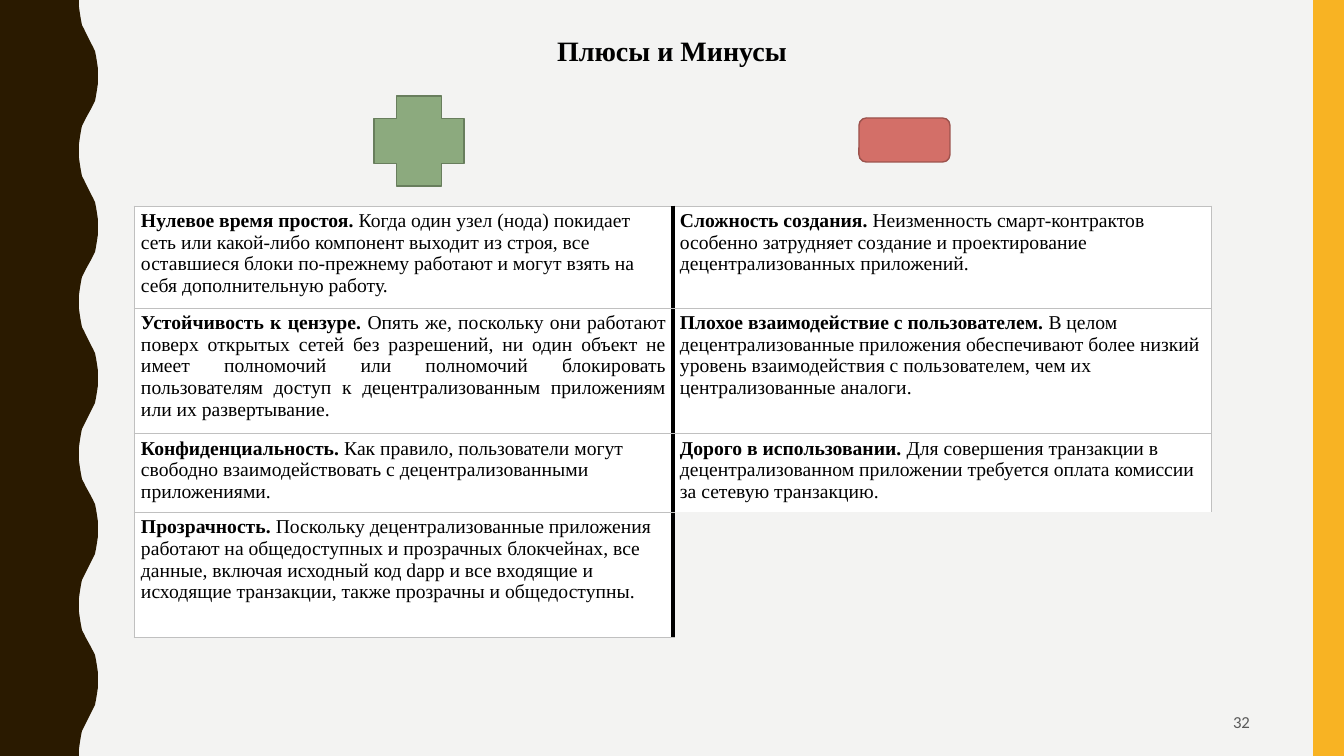
from dataclasses import dataclass
from typing import Optional

from lxml.etree import SubElement
from pptx import Presentation
from pptx.dml.color import RGBColor
from pptx.enum.shapes import MSO_SHAPE
from pptx.enum.text import MSO_ANCHOR, MSO_AUTO_SIZE, PP_ALIGN
from pptx.oxml.ns import qn
from pptx.util import Emu, Pt

WIDTH, HEIGHT = 1344, 756
SCALE = 12192000 / WIDTH

PAPER = RGBColor(0xF3, 0xF3, 0xF2)
BROWN = RGBColor(0x2A, 0x1A, 0x00)
AMBER = RGBColor(0xF8, 0xB3, 0x23)
GREEN = RGBColor(0x8C, 0xAA, 0x7E)
MOSS = RGBColor(0x68, 0x7E, 0x5D)
RED = RGBColor(0xD3, 0x6F, 0x68)
MAROON = RGBColor(0x9C, 0x52, 0x4D)
BLACK = RGBColor(0x00, 0x00, 0x00)
WHITE = RGBColor(0xFF, 0xFF, 0xFF)
SILVER = RGBColor(0xC0, 0xC0, 0xC0)
GRAY = RGBColor(0x59, 0x59, 0x59)
SERIF, SANS = "Times New Roman", "Calibri"


@dataclass(frozen=True)
class Mark:
    kind: MSO_SHAPE
    box: tuple[int, int, int, int]
    fill: RGBColor
    line: Optional[RGBColor] = None


@dataclass(frozen=True)
class Label:
    text: str
    box: tuple[int, int, int, int]
    font: str
    size: int
    color: RGBColor
    align: PP_ALIGN
    anchor: MSO_ANCHOR
    bold: bool = False


@dataclass(frozen=True)
class Point:
    head: str
    body: str
    align: Optional[PP_ALIGN] = None


MARKS = [
    Mark(MSO_SHAPE.RECTANGLE, (1313, 0, 31, HEIGHT), AMBER),
    Mark(MSO_SHAPE.CROSS, (374, 96, 90, 90), GREEN, MOSS),
    Mark(MSO_SHAPE.ROUNDED_RECTANGLE, (859, 118, 91, 44), RED, MAROON),
]
LABELS = [
    Label("32", (950, 703, 310, 38), SANS, 12, GRAY, PP_ALIGN.RIGHT, MSO_ANCHOR.MIDDLE),
    Label("Плюсы и Минусы", (0, 29, WIDTH, 44), SERIF, 20, BLACK,
          PP_ALIGN.CENTER, MSO_ANCHOR.TOP, True),
]
PROS = [
    Point("Нулевое время простоя.",
          " Когда один узел (нода) покидает сеть или какой-либо компонент выходит из строя, "
          "все оставшиеся блоки по-прежнему работают и могут взять на себя дополнительную работу."),
    Point("Устойчивость к цензуре. ",
          "Опять же, поскольку они работают поверх открытых сетей без разрешений, ни один объект "
          "не имеет полномочий или полномочий блокировать пользователям доступ к "
          "децентрализованным приложениям или их развертывание.", PP_ALIGN.JUSTIFY),
    Point("Конфиденциальность. ",
          "Как правило, пользователи могут свободно взаимодействовать с децентрализованными "
          "приложениями."),
    Point("Прозрачность. ",
          "Поскольку децентрализованные приложения работают на общедоступных и прозрачных "
          "блокчейнах, все данные, включая исходный код dapp и все входящие и исходящие "
          "транзакции, также прозрачны и общедоступны."),
]
CONS = [
    Point("Сложность создания. ",
          "Неизменность смарт-контрактов особенно затрудняет создание и проектирование "
          "децентрализованных приложений."),
    Point("Плохое взаимодействие с пользователем. ",
          "В целом децентрализованные приложения обеспечивают более низкий уровень "
          "взаимодействия с пользователем, чем их централизованные аналоги."),
    Point("Дорого в использовании. ",
          "Для совершения транзакции в децентрализованном приложении требуется оплата комиссии "
          "за сетевую транзакцию."),
    None,
]
ROWS = [102, 125, 78, 125]
COLUMN = 539

# First part of one wave bend, as offsets from its left crest
HALF = HEIGHT / 10
SWING = 19
BEND = [(0, 0), (0, 7), (1, 14), (2, 20), (3, 25), (5, 29), (7, 33)]


def px(size: float) -> Emu:
    return Emu(round(size * SCALE))


def add_wave(slide) -> None:
    bend = BEND + [(SWING - x, HALF - y) for x, y in reversed(BEND)]
    edge = []
    for half in range(10):
        for x, y in bend:
            edge.append((79 + (SWING - x if half % 2 else x), half * HALF + y))
    outline = slide.shapes.build_freeform(0, 0, scale=SCALE)
    outline.add_line_segments(edge + [(0, HEIGHT)], close=True)
    wave = outline.convert_to_shape()
    wave.shadow.inherit = False
    wave.fill.solid()
    wave.fill.fore_color.rgb = BROWN
    wave.line.fill.background()


def add_mark(slide, mark: Mark) -> None:
    shape = slide.shapes.add_shape(mark.kind, *map(px, mark.box))
    shape.shadow.inherit = False
    shape.fill.solid()
    shape.fill.fore_color.rgb = mark.fill
    if mark.line is None:
        shape.line.fill.background()
    else:
        shape.line.color.rgb = mark.line
        shape.line.width = Pt(1)


def set_font(font, name: str, size: int, color: RGBColor, bold: bool) -> None:
    font.name, font.size, font.bold = name, Pt(size), bold
    font.color.rgb = color


def add_label(slide, label: Label) -> None:
    frame = slide.shapes.add_textbox(*map(px, label.box)).text_frame
    frame.word_wrap = True
    frame.auto_size = MSO_AUTO_SIZE.SHAPE_TO_FIT_TEXT if label.bold else MSO_AUTO_SIZE.NONE
    frame.vertical_anchor = label.anchor
    frame.text = label.text
    line = frame.paragraphs[0]
    line.alignment = label.align
    set_font(line.runs[0].font, label.font, label.size, label.color, label.bold)


def set_edge(cell, side: str, color: Optional[RGBColor], width: float) -> None:
    edge = SubElement(cell._tc.get_or_add_tcPr(), qn(f"a:ln{side}"), w=str(int(Pt(width))))
    if color is None:
        SubElement(edge, qn("a:noFill"))
    else:
        SubElement(SubElement(edge, qn("a:solidFill")), qn("a:srgbClr"), val=str(color))


def fill_cell(cell, point: Optional[Point], left: bool, last: bool) -> None:
    thin = SILVER if point else None
    thick = (BLACK, 3)
    set_edge(cell, "L", *((thin, 0.75) if left else thick))
    set_edge(cell, "R", *(thick if left else (thin, 0.75)))
    set_edge(cell, "T", thin, 0.75)
    set_edge(cell, "B", None if last else thin, 0.75)
    cell.margin_left = cell.margin_right = px(7)
    cell.margin_top = cell.margin_bottom = px(4)
    if point is None:
        cell.fill.background()
        return
    cell.fill.solid()
    cell.fill.fore_color.rgb = WHITE
    line = cell.text_frame.paragraphs[0]
    line.alignment = point.align
    for text, bold in ((point.head, True), (point.body, False)):
        run = line.add_run()
        run.text = text
        set_font(run.font, SERIF, 14, BLACK, bold)


def add_grid(slide) -> None:
    grid = slide.shapes.add_table(len(ROWS), 2, px(134), px(206),
                                  px(2 * COLUMN), px(sum(ROWS))).table
    grid.first_row = grid.horz_banding = False
    for row, height in enumerate(ROWS):
        grid.rows[row].height = px(height)
    for col, points in enumerate((PROS, CONS)):
        grid.columns[col].width = px(COLUMN)
        for row, point in enumerate(points):
            last = col == 1 and row >= 2
            fill_cell(grid.cell(row, col), point, col == 0, last)


def main() -> None:
    deck = Presentation()
    deck.slide_width, deck.slide_height = px(WIDTH), px(HEIGHT)
    slide = deck.slides.add_slide(deck.slide_layouts[6])
    slide.background.fill.solid()
    slide.background.fill.fore_color.rgb = PAPER

    # Side bands and the plus and minus signs
    add_wave(slide)
    for mark in MARKS:
        add_mark(slide, mark)

    # Title and page number
    for label in LABELS:
        add_label(slide, label)

    # Pros and cons
    add_grid(slide)
    deck.save("out.pptx")


if __name__ == "__main__":
    main()
